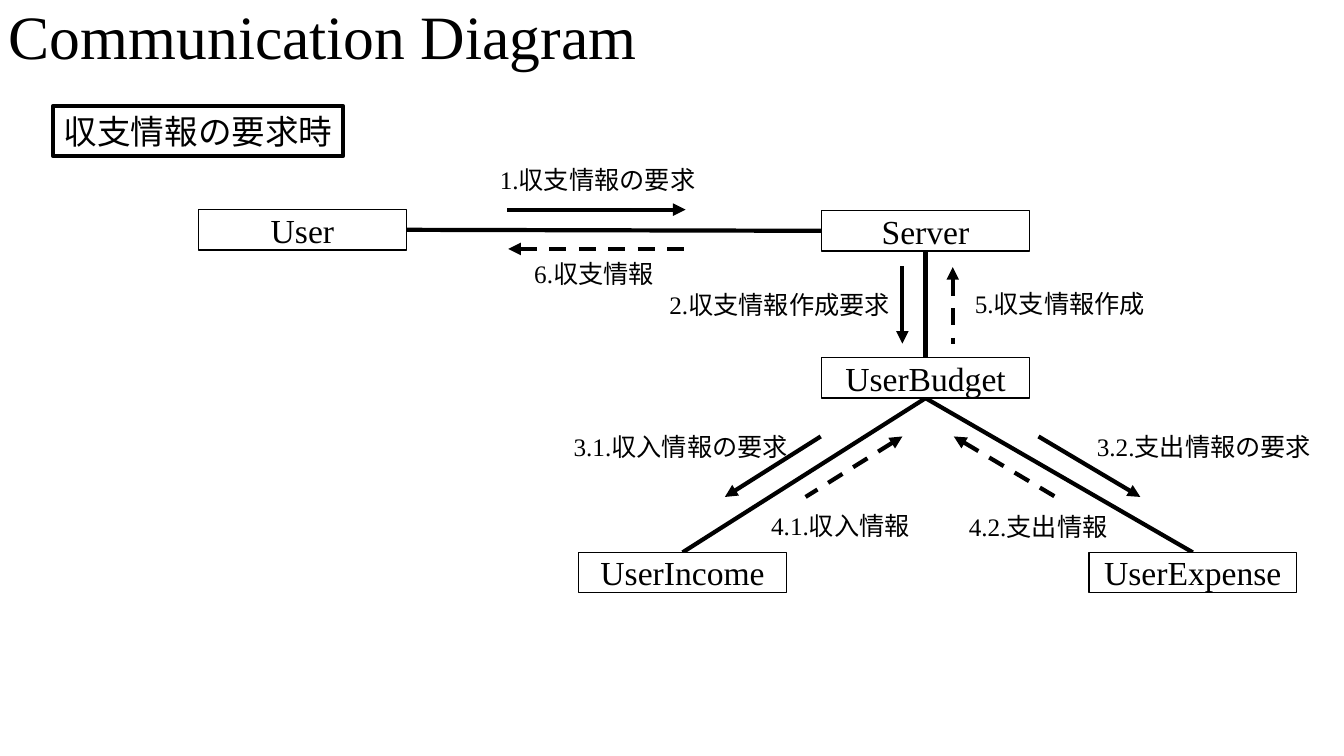
from pptx import Presentation
from pptx.dml.color import RGBColor
from pptx.enum.dml import MSO_LINE
from pptx.enum.shapes import MSO_CONNECTOR, MSO_SHAPE
from pptx.enum.text import MSO_ANCHOR, PP_ALIGN
from pptx.oxml.ns import qn
from pptx.util import Pt
from lxml.etree import SubElement

PX = 9144
BLACK = RGBColor(0x00, 0x00, 0x00)
WHITE = RGBColor(0xFF, 0xFF, 0xFF)
FONT = "Times New Roman"
BOX_WIDTH, BOX_HEIGHT = 206, 40

presentation = Presentation()
presentation.slide_width = 1333 * PX
presentation.slide_height = 750 * PX
slide = presentation.slides.add_slide(presentation.slide_layouts[6])
shapes = slide.shapes


def write_text(shape, text, size=18, align=PP_ALIGN.LEFT, anchor=MSO_ANCHOR.TOP, wrap=True, spacing=None):
    frame = shape.text_frame
    frame.word_wrap = wrap
    frame.vertical_anchor = anchor
    paragraph = frame.paragraphs[0]
    paragraph.alignment = align
    paragraph.line_spacing = spacing
    run = paragraph.add_run()
    run.text = text
    run.font.size = Pt(size)
    run.font.name = FONT
    run.font.color.rgb = BLACK


def add_line(start, end, arrow=None, dashed=False):
    points = [value * PX for value in (*start, *end)]
    connector = shapes.add_connector(MSO_CONNECTOR.STRAIGHT, *points)
    connector.line.color.rgb = BLACK
    connector.line.width = Pt(3)
    if dashed:
        connector.line.dash_style = MSO_LINE.DASH
    properties = connector._element.spPr
    if arrow:
        SubElement(properties.find(qn("a:ln")), qn(arrow), type="triangle")
    SubElement(properties, qn("a:effectLst"))


title = shapes.add_textbox(-1 * PX, 0, 1150 * PX, 79 * PX)
write_text(title, "Communication Diagram", size=44, anchor=MSO_ANCHOR.MIDDLE, spacing=0.9)

scenario = shapes.add_shape(MSO_SHAPE.RECTANGLE, 53 * PX, 105 * PX, 287 * PX, 50 * PX)
scenario.shadow.inherit = False
scenario.fill.background()
scenario.line.color.rgb = BLACK
scenario.line.width = Pt(3)
write_text(scenario, "収支情報の要求時", size=24, align=PP_ALIGN.CENTER, wrap=False)

objects = {
    "User": (197, 208),
    "Server": (815, 209),
    "UserBudget": (815, 355),
    "UserIncome": (574, 548),
    "UserExpense": (1080, 548),
}
top = {name: (left + BOX_WIDTH // 2, y) for name, (left, y) in objects.items()}
bottom = {name: (x, y + BOX_HEIGHT) for name, (x, y) in top.items()}
user_left, user_top = objects["User"]
server_left, server_top = objects["Server"]

links = [
    ((user_left + BOX_WIDTH, user_top + BOX_HEIGHT // 2), (server_left, server_top + BOX_HEIGHT // 2)),
    (bottom["Server"], top["UserBudget"]),
    (top["UserIncome"], bottom["UserBudget"]),
    (top["UserExpense"], bottom["UserBudget"]),
]
for start, end in links:
    add_line(start, end)

for name, (left, y) in objects.items():
    box = shapes.add_shape(MSO_SHAPE.RECTANGLE, left * PX, y * PX, BOX_WIDTH * PX, BOX_HEIGHT * PX)
    box.shadow.inherit = False
    box.fill.solid()
    box.fill.fore_color.rgb = WHITE
    box.line.color.rgb = BLACK
    box.line.width = Pt(1)
    write_text(box, name, size=24, align=PP_ALIGN.CENTER, anchor=MSO_ANCHOR.MIDDLE)

requests = [
    ("1.収支情報の要求", 486, 158, 224, (503, 208), (680, 208)),
    ("2.収支情報作成要求", 654, 282, 241, (895, 264), (895, 341)),
    ("3.1.収入情報の要求", 559, 423, 241, (814, 433), (719, 493)),
    ("3.2.支出情報の要求", 1078, 423, 241, (1030, 433), (1131, 493)),
]
replies = [
    ("4.1.収入情報", 755, 501, 162, (895, 433), (799, 493)),
    ("4.2.支出情報", 951, 502, 158, (946, 433), (1047, 493)),
    ("5.収支情報作成", 957, 281, 241, (945, 265), (945, 341)),
    ("6.収支情報", 520, 251, 224, (504, 247), (681, 247)),
]
for messages, arrow, dashed in ((requests, "a:tailEnd", False), (replies, "a:headEnd", True)):
    for text, left, y, width, start, end in messages:
        add_line(start, end, arrow, dashed)
        label = shapes.add_textbox(left * PX, y * PX, width * PX, 40 * PX)
        write_text(label, text)

presentation.save("out.pptx")
